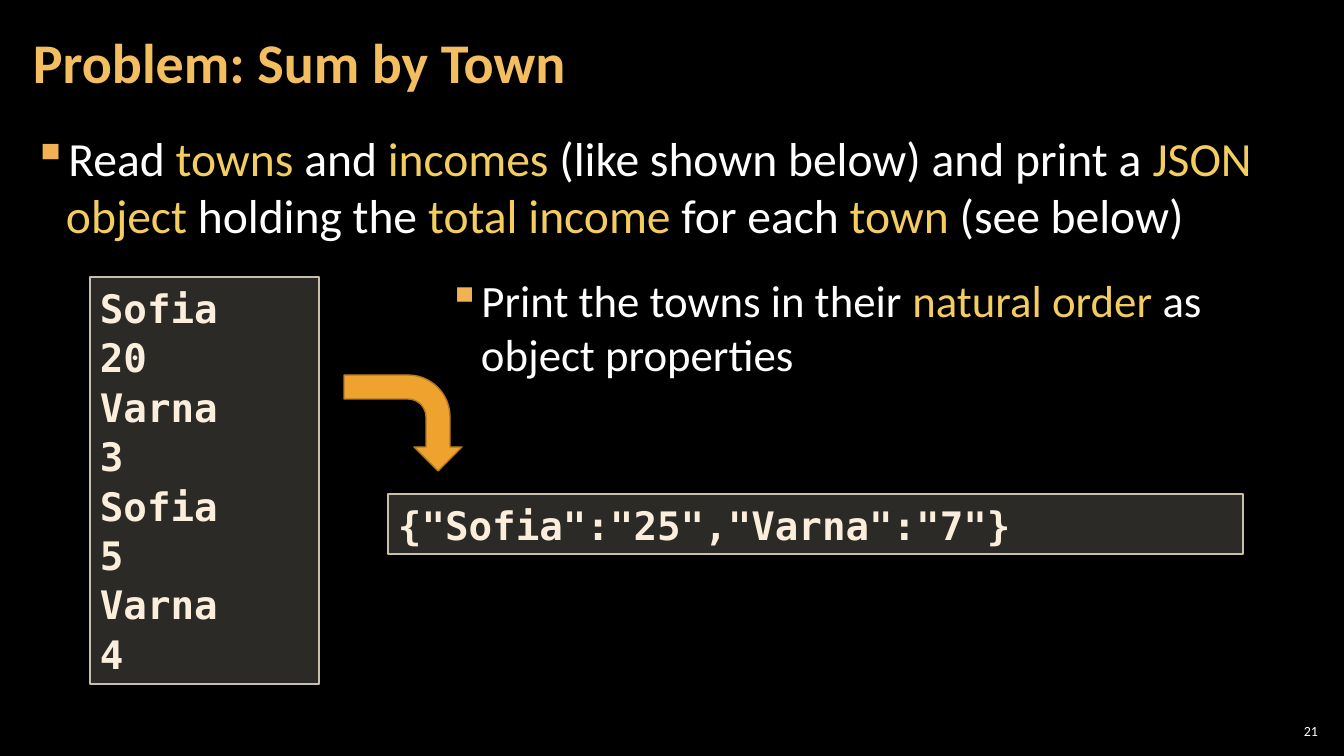
from lxml import etree
from pptx import Presentation
from pptx.dml.color import RGBColor
from pptx.enum.shapes import MSO_SHAPE
from pptx.enum.text import MSO_ANCHOR, MSO_AUTO_SIZE, PP_ALIGN
from pptx.oxml.ns import qn
from pptx.util import Emu, Pt

RECTANGLE, BENT_ARROW = MSO_SHAPE.RECTANGLE, MSO_SHAPE.BENT_ARROW
TOP, MIDDLE = MSO_ANCHOR.TOP, MSO_ANCHOR.MIDDLE
LEFT, RIGHT = PP_ALIGN.LEFT, PP_ALIGN.RIGHT
FIXED = MSO_AUTO_SIZE.NONE

EMU_PER_PX = 914400 / 100.8
TITLE_ONLY = 5
TEXT_FONT, CODE_FONT = "Calibri", "DejaVu Sans Mono"
COLORS = {
    "background": "000000", "title": "F3BE60", "text": "FFFFFF",
    "accent": "F3CD60", "bullet": "F2B254", "code": "FBEEDC",
    "code_fill": "D9D5C7", "code_line": "C7BFAC",
    "arrow": "F0A22E", "arrow_line": "B27822",
}

TITLE = ("Problem: Sum by Town", (21, 4, 1055, 122))
PAGE_NUMBER = ("21", (1275, 720, 47, 21))
BULLETS = [
    ((21, 125, 1301, 614), 34, [
        ("Read ", "text"), ("towns", "accent"), (" and ", "text"),
        ("incomes", "accent"), (" (like shown below) and print a ", "text"),
        ("JSON object ", "accent"), ("holding the ", "text"),
        ("total income", "accent"), (" for each ", "text"),
        ("town", "accent"), (" (see below)", "text"),
    ]),
    ((436, 269, 781, 134), 32, [
        ("Print the towns in their ", "text"), ("natural order ", "accent"),
        ("as object properties", "text"),
    ]),
]
CODE_BOXES = [
    ((388, 494, 855, 60), ['{"Sofia":"25","Varna":"7"}']),
    ((90, 277, 229, 407),
     ["Sofia", "20", "Varna", "3", "Sofia", "5", "Varna", "4"]),
]
ARROW = (355, 364, 96, 118)


def px(length):
    return Emu(round(length * EMU_PER_PX))


def place(box):
    return [px(length) for length in box]


def color(name):
    return RGBColor.from_string(COLORS[name])


def set_frame(frame, anchor, side=10, edge=5):
    frame.word_wrap = True
    frame.auto_size = FIXED
    frame.vertical_anchor = anchor
    frame.margin_left = frame.margin_right = px(side)
    frame.margin_top = frame.margin_bottom = px(edge)


def add_span(para, text, size, color_name, font=TEXT_FONT, bold=False):
    span = para.add_run()
    span.text = text
    span.font.name = font
    span.font.size = Pt(size)
    span.font.bold = bold
    span.font.color.rgb = color(color_name)


def add_shape(page, kind, box, fill, line):
    shape = page.shapes.add_shape(kind, *place(box))
    shape.shadow.inherit = False
    shape.fill.solid()
    shape.fill.fore_color.rgb = color(fill)
    shape.line.color.rgb = color(line)
    shape.line.width = Pt(1)
    return shape


def add_title(page):
    text, box = TITLE
    title = page.shapes.title
    title.left, title.top, title.width, title.height = place(box)
    set_frame(title.text_frame, MIDDLE, 12, 4)
    para = title.text_frame.paragraphs[0]
    para.alignment = LEFT
    para.line_spacing = 0.9
    add_span(para, text, 40, "title", bold=True)


def add_bullet(page, box, size, spans):
    frame = page.shapes.add_textbox(*place(box)).text_frame
    set_frame(frame, TOP, 12, 4)
    para = frame.paragraphs[0]
    properties = para._p.get_or_add_pPr()
    properties.set("marL", str(px(33)))
    properties.set("indent", str(-px(33)))
    bullet_color = etree.SubElement(properties, qn("a:buClr"))
    etree.SubElement(bullet_color, qn("a:srgbClr"), val=COLORS["bullet"])
    etree.SubElement(properties, qn("a:buChar"), char="▪")
    para.space_after = Pt(6)
    for text, color_name in spans:
        add_span(para, text, size, color_name)


def add_code(page, box, lines):
    shape = add_shape(page, RECTANGLE, box, "code_fill", "code_line")
    fill = shape._element.spPr.find(qn("a:solidFill"))
    etree.SubElement(fill[0], qn("a:alpha"), val="20000")
    frame = shape.text_frame
    set_frame(frame, TOP)
    for index, line in enumerate(lines):
        para = frame.add_paragraph() if index else frame.paragraphs[0]
        para.alignment = LEFT
        para.line_spacing = 1.05
        add_span(para, line, 28, "code", CODE_FONT, True)


def add_page_number(page):
    text, box = PAGE_NUMBER
    frame = page.shapes.add_textbox(*place(box)).text_frame
    set_frame(frame, MIDDLE, 4, 4)
    para = frame.paragraphs[0]
    para.alignment = RIGHT
    add_span(para, text, 10, "text")


def main():
    deck = Presentation()
    deck.slide_width, deck.slide_height = px(1344), px(756)
    page = deck.slides.add_slide(deck.slide_layouts[TITLE_ONLY])
    page.background.fill.solid()
    page.background.fill.fore_color.rgb = color("background")
    add_title(page)
    for bullet in BULLETS:
        add_bullet(page, *bullet)
    for code_box in CODE_BOXES:
        add_code(page, *code_box)
    arrow = add_shape(page, BENT_ARROW, ARROW, "arrow", "arrow_line")
    arrow.rotation = 90
    add_page_number(page)
    deck.save("out.pptx")


if __name__ == "__main__":
    main()
